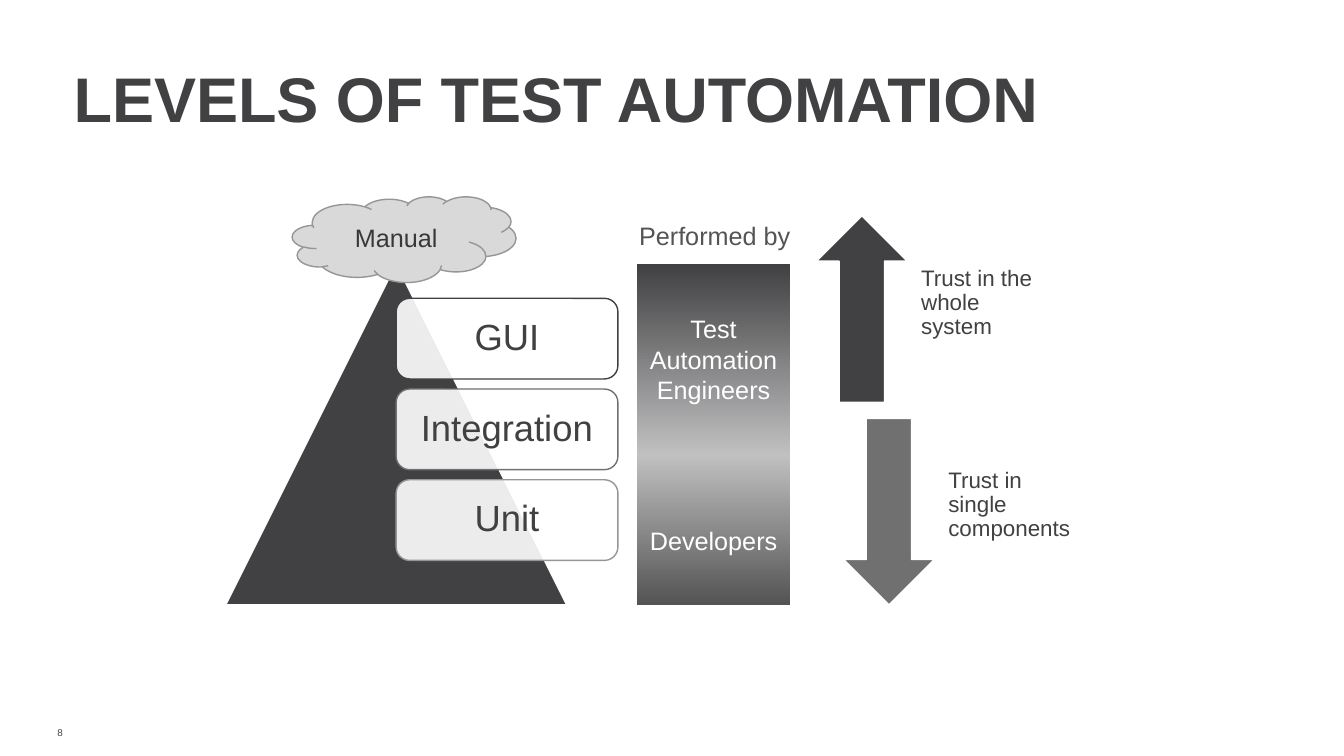
from copy import deepcopy
from dataclasses import dataclass

from lxml import etree
from pptx import Presentation
from pptx.dml.color import RGBColor
from pptx.enum.shapes import MSO_SHAPE
from pptx.enum.text import MSO_ANCHOR, PP_ALIGN
from pptx.oxml.ns import qn
from pptx.util import Pt

TRIANGLE = MSO_SHAPE.ISOSCELES_TRIANGLE
ROUNDED = MSO_SHAPE.ROUNDED_RECTANGLE
RECTANGLE = MSO_SHAPE.RECTANGLE
CLOUD = MSO_SHAPE.CLOUD
UP_ARROW = MSO_SHAPE.UP_ARROW
DOWN_ARROW = MSO_SHAPE.DOWN_ARROW
TOP = MSO_ANCHOR.TOP
MIDDLE = MSO_ANCHOR.MIDDLE
LEFT = PP_ALIGN.LEFT
CENTER = PP_ALIGN.CENTER


@dataclass(frozen=True)
class Theme:
    font: str = "Arial"
    dark: str = "414042"
    charcoal: str = "545455"
    medium: str = "707071"
    light: str = "969697"
    silver: str = "C0C0C1"
    cloud: str = "D9D9D9"
    ink: str = "383838"
    white: str = "FFFFFF"
    title: float = 45
    level: float = 26
    label: float = 18
    trust: float = 16
    number: float = 7


def apply_format(target, values):
    for name, value in values.items():
        setattr(target, name, value)


class SlideBuilder:
    def __init__(self, slide, theme):
        self.slide = slide
        self.theme = theme

    def fill_text(self, shape, paragraphs, size, color, bold=False, align=CENTER, anchor=MIDDLE,
                  insets=(7.2, 3.6, 7.2, 3.6), wrap=True, spacing=1.0, gap=0):
        left, top, right, bottom = map(Pt, insets)
        frame = shape.text_frame
        apply_format(frame, {
            "word_wrap": wrap, "vertical_anchor": anchor, "margin_left": left,
            "margin_top": top, "margin_right": right, "margin_bottom": bottom,
        })
        for index, text in enumerate(paragraphs):
            paragraph = frame.add_paragraph() if index else frame.paragraphs[0]
            apply_format(paragraph, {
                "alignment": align, "line_spacing": spacing,
                "space_before": Pt(gap if index else 0),
            })
            run = paragraph.add_run()
            run.text = text
            apply_format(run.font, {"name": self.theme.font, "size": Pt(size), "bold": bold})
            run.font.color.rgb = RGBColor.from_string(color)

    def text(self, box, text, size, color, **style):
        shape = self.slide.shapes.add_textbox(*map(Pt, box))
        self.fill_text(shape, [text], size, color, **style)

    def shape(self, kind, box, fill, line=None, opacity=100):
        shape = self.slide.shapes.add_shape(kind, *map(Pt, box))
        shape.shadow.inherit = False
        shape.fill.solid()
        shape.fill.fore_color.rgb = RGBColor.from_string(fill)
        if opacity < 100:
            color = shape._element.spPr.find(qn("a:solidFill")).find(qn("a:srgbClr"))
            etree.SubElement(color, qn("a:alpha")).set("val", str(opacity * 1000))
        if line:
            shape.line.color.rgb = RGBColor.from_string(line)
            shape.line.width = Pt(1)
        else:
            shape.line.fill.background()
        return shape

    def gradient(self, shape, stops):
        shape.fill.gradient()
        shape.fill.gradient_angle = 270
        stop_list = shape._element.spPr.find(qn("a:gradFill")).find(qn("a:gsLst"))
        while len(stop_list) < len(stops):
            stop_list.append(deepcopy(stop_list[-1]))
        for stop, (position, color) in zip(shape.fill.gradient_stops, stops):
            stop.position = position
            stop.color.rgb = RGBColor.from_string(color)


def build_slide(builder):
    theme = builder.theme
    flush = (0, 0, 0, 0)
    builder.text((52.6, 42.5, 857.5, 54.7), "LEVELS OF TEST AUTOMATION", theme.title, theme.dark,
                 bold=True, align=LEFT, anchor=TOP, insets=flush)
    builder.text((41, 516.2, 14.4, 14.4), "8", theme.number, theme.dark, align=LEFT, insets=flush)

    builder.shape(TRIANGLE, (161.3, 188.6, 243.4, 243.4), theme.dark, theme.white)
    levels = [("GUI", theme.dark), ("Integration", theme.medium), ("Unit", theme.light)]
    for row, (name, outline) in enumerate(levels):
        level = builder.shape(ROUNDED, (283, 213.1 + 64.8 * row, 158.4, 57.6),
                              theme.white, outline, opacity=90)
        builder.fill_text(level, [name], theme.level, theme.dark, spacing=0.9)

    performers = builder.shape(RECTANGLE, (455, 188.6, 109.4, 243.4), theme.dark)
    builder.gradient(performers, [(0, theme.dark), (0.56, theme.silver), (1, theme.charcoal)])
    builder.fill_text(performers, ["Test Automation Engineers", "Developers"],
                      theme.label, theme.white, gap=86)
    builder.text((448.6, 154.1, 123.8, 28.8), "Performed by", theme.label, theme.charcoal,
                 anchor=TOP, wrap=False)

    trusts = [
        (UP_ARROW, theme.dark, "Trust in the whole system"),
        (DOWN_ARROW, theme.medium, "Trust in single components"),
    ]
    for row, (arrow, color, caption) in enumerate(trusts):
        left, top, height = 583.2 + 19.4 * row, 154.1 + 144.7 * row, 133.2
        builder.shape(arrow, (left, top, 64.8, height), color, theme.white)
        builder.text((left + 66.2, top, 109.4, height), caption, theme.trust, theme.dark,
                     align=LEFT, insets=(8.6, 0, 8.6, 8.6), spacing=0.9)

    cloud = builder.shape(CLOUD, (208.8, 140.4, 159.8, 61.2), theme.cloud, theme.light)
    builder.fill_text(cloud, ["Manual"], theme.label, theme.ink)


def main():
    presentation = Presentation()
    apply_format(presentation, {"slide_width": Pt(960), "slide_height": Pt(540)})
    slide = presentation.slides.add_slide(presentation.slide_layouts[6])
    build_slide(SlideBuilder(slide, Theme()))
    presentation.save("out.pptx")


if __name__ == "__main__":
    main()
